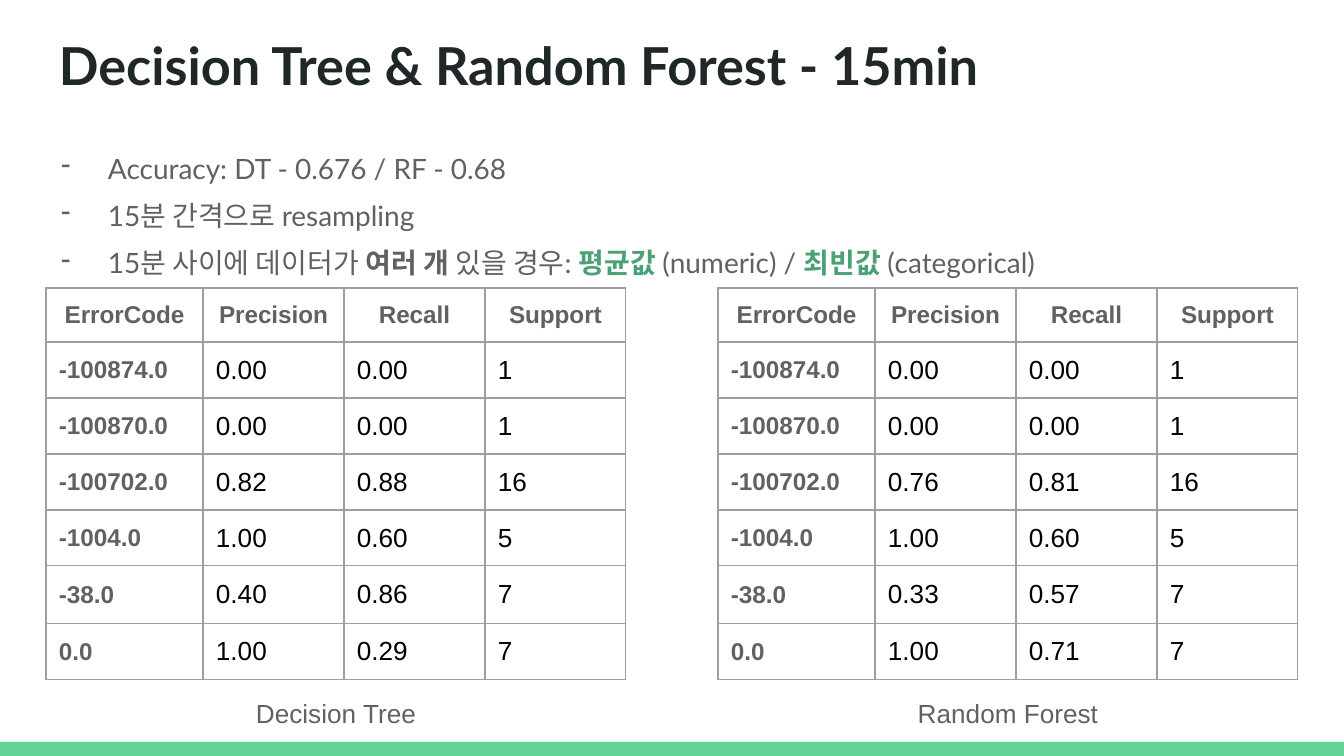
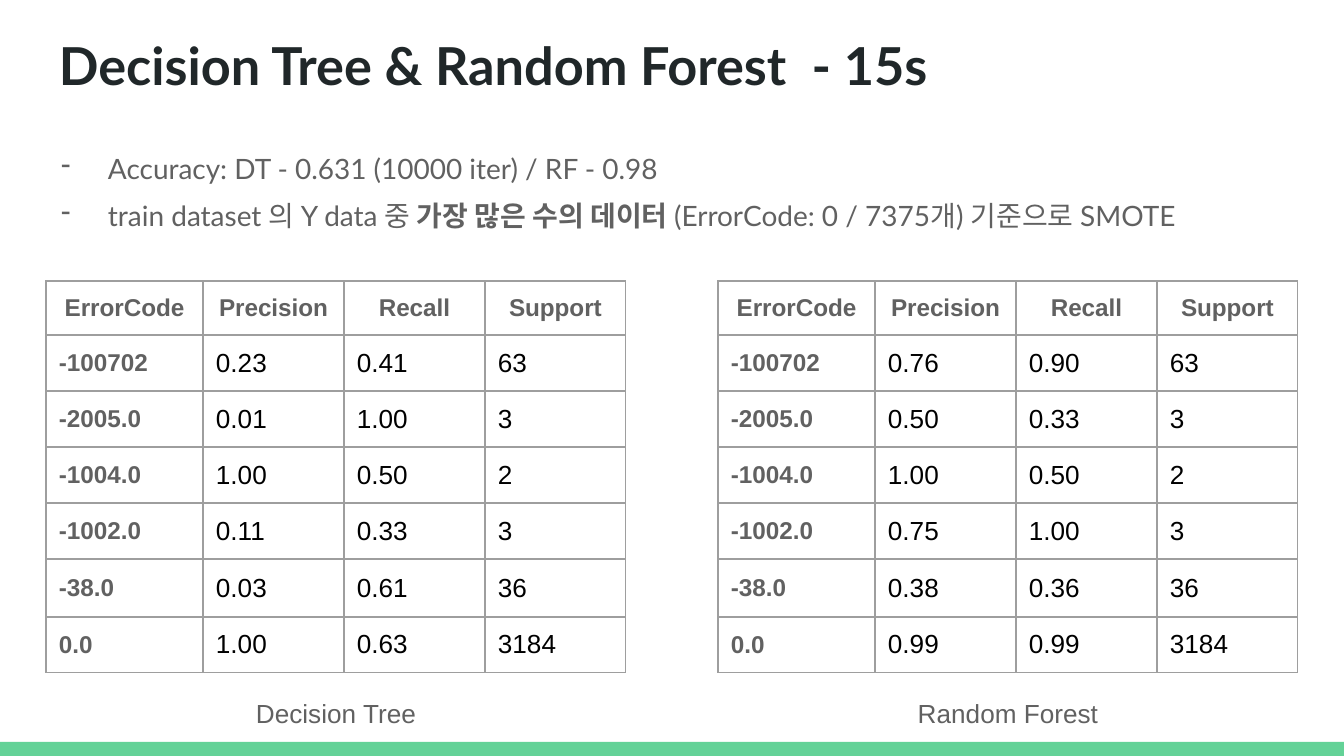
from lxml.etree import SubElement as Sub
from pptx import Presentation
from pptx.dml.color import RGBColor
from pptx.enum.shapes import MSO_SHAPE as Shape
from pptx.enum.text import MSO_ANCHOR as Anchor, MSO_AUTO_SIZE as Fit, PP_ALIGN as Align
from pptx.oxml.ns import qn
from pptx.util import Pt

SCALE = 914400 / 134.4  # EMU in one px
WIDE, HIGH = 1344, 756
PAD = 13
INK, GREY, BLACK = "202729", "616161", "000000"
MINT, GREEN, RULE = "63D297", "4BA173", "9E9E9E"
HEAD, SANS = "Lato", "Arial"

LEFTS = (46, 718)
COLS = (157, 141, 141, 141)
ROWS = (54, 56, 56, 56, 56, 58, 56)
NAMES = ("Decision Tree", "Random Forest")
LABELS = ("ErrorCode", "Precision", "Recall", "Support")

# Each row: error code, tree precision and recall, forest precision and recall, support
MIN_ROWS = (
    ("-100874.0", "0.00", "0.00", "0.00", "0.00", "1"),
    ("-100870.0", "0.00", "0.00", "0.00", "0.00", "1"),
    ("-100702.0", "0.82", "0.88", "0.76", "0.81", "16"),
    ("-1004.0", "1.00", "0.60", "1.00", "0.60", "5"),
    ("-38.0", "0.40", "0.86", "0.33", "0.57", "7"),
    ("0.0", "1.00", "0.29", "1.00", "0.71", "7"),
)
SEC_ROWS = (
    ("-100702", "0.23", "0.41", "0.76", "0.90", "63"),
    ("-2005.0", "0.01", "1.00", "0.50", "0.33", "3"),
    ("-1004.0", "1.00", "0.50", "1.00", "0.50", "2"),
    ("-1002.0", "0.11", "0.33", "0.75", "1.00", "3"),
    ("-38.0", "0.03", "0.61", "0.38", "0.36", "36"),
    ("0.0", "1.00", "0.63", "0.99", "0.99", "3184"),
)

# Each point is a list of runs: text, then colour and bold where they differ
MIN_POINTS = (
    [("Accuracy: DT - 0.676 / RF - 0.68",)],
    [("15분 간격으로 resampling",)],
    [("15분 사이에 데이터가 ",), ("여러 개", GREY, True), (" 있을 경우: ",),
     ("평균값", GREEN, True), (" (numeric) / ",),
     ("최빈값", GREEN, True), (" (categorical)",)],
)
SEC_POINTS = (
    [("Accuracy: DT - 0.631 (10000 iter) / RF - 0.98",)],
    [("train dataset 의 Y data 중 ",), ("가장 많은 수의 데이터", GREY, True),
     (" (ErrorCode: 0 / 7375개) 기준으로 SMOTE",)],
)


def px(num):
    return round(num * SCALE)


def box(*nums):
    return [px(num) for num in nums]


def tint(code):
    return RGBColor.from_string(code)


def write(para, text, size, face, color=GREY, bold=False):
    run = para.add_run()
    run.text = text
    font = run.font
    font.size, font.name, font.bold = Pt(size), face, bold
    font.color.rgb = tint(color)


def frame(shape, anchor=Anchor.TOP):
    """Set the insets, wrap and anchor; return the text frame."""
    body = shape.text_frame
    body.word_wrap, body.auto_size = True, Fit.NONE
    body.vertical_anchor = anchor
    body.margin_left = body.margin_right = px(PAD)
    body.margin_top = body.margin_bottom = px(PAD)
    return body


def add_band(slide):
    band = slide.shapes.add_shape(Shape.RECTANGLE, *box(0, 742, WIDE, 14))
    band.shadow.inherit = False
    band.fill.solid()
    band.fill.fore_color.rgb = tint(MINT)
    band.line.fill.background()


def set_title(slide, text):
    title = slide.shapes.title
    title.left, title.top, title.width, title.height = box(46, 20, 1252, 85)
    para = frame(title).paragraphs[0]
    para.alignment = Align.LEFT
    write(para, text, 28, HEAD, INK, True)


def dash(para):
    """Give the paragraph a hanging dash."""
    props = para._p.get_or_add_pPr()
    props.set("marL", str(px(67)))
    props.set("indent", str(px(-47)))
    color = Sub(props, qn("a:buClr"))
    Sub(color, qn("a:srgbClr"), val=GREY)
    Sub(props, qn("a:buChar"), char="-")


def add_points(slide, points):
    body = frame(slide.shapes.add_textbox(*box(28, 125, 1287, 148)))
    for num, runs in enumerate(points):
        para = body.add_paragraph() if num else body.paragraphs[0]
        dash(para)
        para.line_spacing = 1.4
        for text, *look in runs:
            write(para, text, 15, HEAD, *look)


def edge(cell):
    """Draw a thin line on all four sides of the cell."""
    props = cell._tc.get_or_add_tcPr()
    for side in ("lnL", "lnR", "lnT", "lnB"):
        line = Sub(props, qn(f"a:{side}"), w=str(Pt(0.75)))
        fill = Sub(line, qn("a:solidFill"))
        Sub(fill, qn("a:srgbClr"), val=RULE)


def fill_cell(cell, text, head, key):
    edge(cell)
    cell.fill.background()
    cell.vertical_anchor = Anchor.MIDDLE
    cell.margin_left = cell.margin_right = px(PAD)
    cell.margin_top = cell.margin_bottom = px(PAD)
    para = cell.text_frame.paragraphs[0]
    para.alignment = Align.CENTER if head else Align.LEFT
    if head or key:
        write(para, text, 13, SANS, GREY, True)
    else:
        write(para, text, 14, SANS, BLACK)


def add_grid(slide, left, top, data):
    spot = box(left, top, sum(COLS), sum(ROWS))
    grid = slide.shapes.add_table(len(ROWS), len(COLS), *spot).table
    grid.first_row = grid.horz_banding = False
    for col, width in zip(grid.columns, COLS):
        col.width = px(width)
    for row, height in zip(grid.rows, ROWS):
        row.height = px(height)
    for r, line in enumerate(data):
        for c, text in enumerate(line):
            fill_cell(grid.cell(r, c), text, r == 0, c == 0)


def add_name(slide, left, text):
    label = slide.shapes.add_textbox(*box(left + 178, 698, 224, 30))
    para = frame(label, Anchor.MIDDLE).paragraphs[0]
    para.alignment = Align.CENTER
    write(para, text, 14, SANS)


def add_page(deck, title, points, top, rows):
    slide = deck.slides.add_slide(deck.slide_layouts.get_by_name("Title Only"))
    add_band(slide)
    set_title(slide, title)
    add_points(slide, points)
    for num, (left, name) in enumerate(zip(LEFTS, NAMES)):
        first = 1 + 2 * num
        data = [(row[0], *row[first:first + 2], row[-1]) for row in rows]
        add_grid(slide, left, top, [LABELS, *data])
        add_name(slide, left, name)


def main():
    deck = Presentation()
    deck.slide_width, deck.slide_height = box(WIDE, HIGH)
    add_page(deck, "Decision Tree & Random Forest - 15min", MIN_POINTS, 288, MIN_ROWS)
    add_page(deck, "Decision Tree & Random Forest  - 15s", SEC_POINTS, 281, SEC_ROWS)
    deck.save("out.pptx")


if __name__ == "__main__":
    main()
